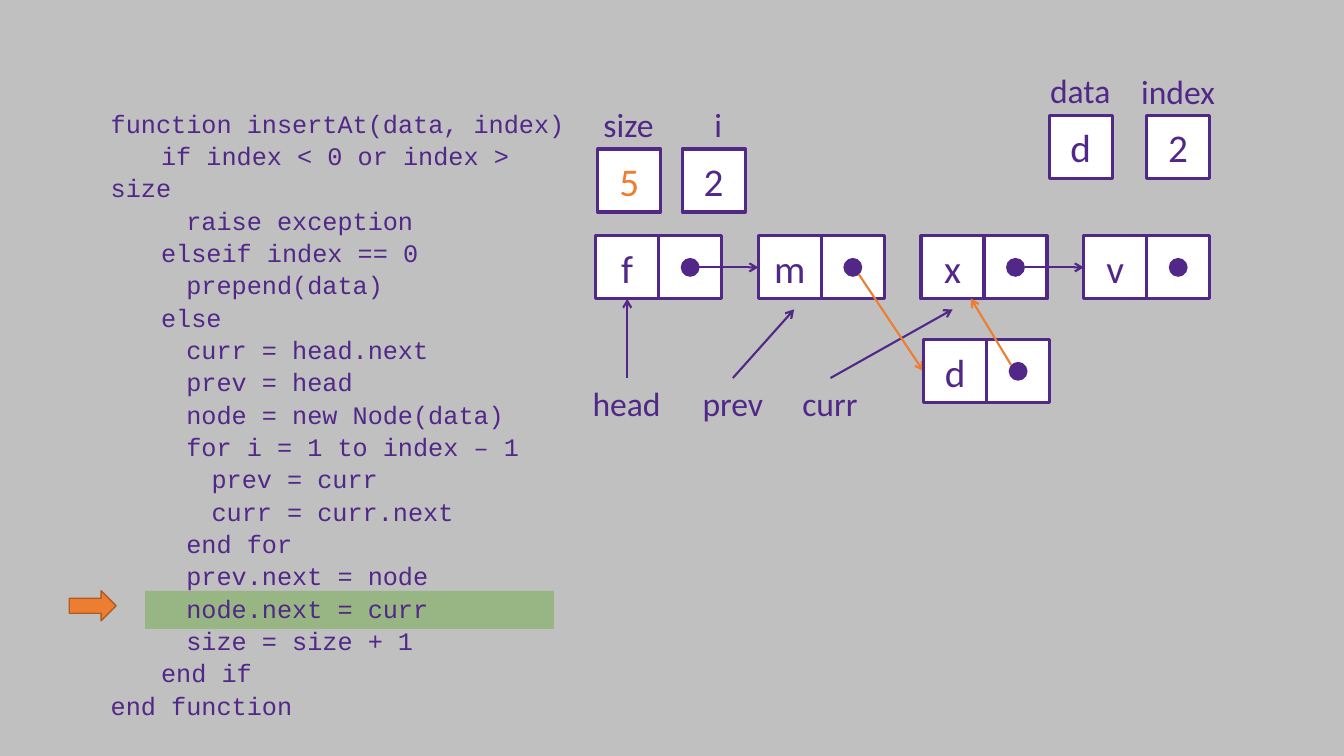
from dataclasses import dataclass

import pptx
import pptx.dml.color
import pptx.enum.shapes
import pptx.enum.text
import pptx.oxml
import pptx.oxml.ns
import pptx.util
from lxml import etree

Pt = pptx.util.Pt
RGBColor = pptx.dml.color.RGBColor
Kind = pptx.enum.shapes.MSO_SHAPE
Align = pptx.enum.text.PP_ALIGN
Fit = pptx.enum.text.MSO_AUTO_SIZE
qn = pptx.oxml.ns.qn

GRAY = RGBColor(0xC0, 0xC0, 0xC0)
WHITE = RGBColor(0xFF, 0xFF, 0xFF)
PURPLE = RGBColor(0x51, 0x28, 0x88)
ORANGE = RGBColor(0xED, 0x7D, 0x31)
RUST = RGBColor(0xAF, 0x5C, 0x24)
GREEN = RGBColor(0x70, 0xAD, 0x47)

CELL = 45
DOT = 13.5
ROW = 168.5
FIRST = 425.5
STEP = 116.2
STOPS = (18, 36, 54, 72, 85.5, 103.5, 126, 144)


@dataclass
class Cell:
    text: str
    left: float
    top: float
    color: RGBColor = PURPLE


@dataclass
class Label:
    text: str
    left: float
    top: float
    width: float


@dataclass
class Arrow:
    x1: float
    y1: float
    x2: float
    y2: float
    color: RGBColor = PURPLE


CODE = (
    (0, "function insertAt(data, index)"),
    (2, "if index < 0 or index > size"),
    (3, "raise exception"),
    (2, "elseif index == 0"),
    (3, "prepend(data)"),
    (2, "else"),
    (3, "curr = head.next"),
    (3, "prev = head"),
    (3, "node = new Node(data)"),
    (3, "for i = 1 to index – 1"),
    (4, "prev = curr"),
    (4, "curr = curr.next"),
    (3, "end for"),
    (3, "prev.next = node"),
    (3, "node.next = curr"),
    (3, "size = size + 1"),
    (2, "end if"),
    (0, "end function"),
)
CHAIN = [Cell(name, FIRST + i * STEP, ROW) for i, name in enumerate("fmxv")]
ADDED = Cell("d", 659.75, 242.75)
VARS = (
    Cell("5", 427, 106.5, ORANGE),
    Cell("2", 487.25, 106.5),
    Cell("d", 749.5, 82.75),
    Cell("2", 819, 82.75),
)
LABELS = (
    Label("head", 416.25, 270, 64),
    Label("prev", 494.75, 270, 58.5),
    Label("curr", 566, 270, 54.5),
    Label("size", 424, 70.5, 50.5),
    Label("i", 503.25, 70.5, 20),
    Label("data", 743, 46.25, 58.5),
    Label("index", 808, 47.25, 67.5),
)
ARROWS = (
    Arrow(448, 270, 448, 213.5),
    Arrow(499.5, 191, FIRST + STEP, 191),
    Arrow(732, 191, FIRST + 3 * STEP, 191),
    Arrow(523.5, 270, 567.25, 221),
    Arrow(593.25, 270, 680.5, 221),
    Arrow(613.5, 196, 659.5, 265, ORANGE),
)
RELINK = Arrow(722.25, 260.75, 693.5, 213.25, ORANGE)


def add_run(para, text: str, size: float, font: str, color: RGBColor) -> None:
    run = para.add_run()
    run.text = text
    run.font.size = Pt(size)
    run.font.name = font
    run.font.color.rgb = color


def add_box(shapes, kind, left: float, top: float, width: float, height: float,
            fill: RGBColor, line: RGBColor | None = None, weight: float = 2.25):
    box = shapes.add_shape(kind, Pt(left), Pt(top), Pt(width), Pt(height))
    box.shadow.inherit = False
    box.fill.solid()
    box.fill.fore_color.rgb = fill
    if line is None:
        box.line.fill.background()
    else:
        box.line.color.rgb = line
        box.line.width = Pt(weight)
    return box


def add_cell(shapes, cell: Cell) -> None:
    box = add_box(shapes, Kind.RECTANGLE, cell.left, cell.top, CELL, CELL, WHITE, PURPLE)
    if cell.text:
        frame = box.text_frame
        frame.vertical_anchor = pptx.enum.text.MSO_ANCHOR.MIDDLE
        para = frame.paragraphs[0]
        para.alignment = Align.CENTER
        add_run(para, cell.text, 28, "Calibri", cell.color)


def add_node(shapes, cell: Cell) -> None:
    group = shapes.add_group_shape().shapes
    add_cell(group, cell)
    add_cell(group, Cell("", cell.left + CELL, cell.top))
    inset = (CELL - DOT) / 2
    add_box(group, Kind.OVAL, cell.left + CELL + inset, cell.top + inset, DOT, DOT, PURPLE)


def add_arrow(shapes, arrow: Arrow) -> None:
    link = shapes.add_connector(
        pptx.enum.shapes.MSO_CONNECTOR.STRAIGHT,
        Pt(arrow.x1), Pt(arrow.y1), Pt(arrow.x2), Pt(arrow.y2))
    link.line.color.rgb = arrow.color
    link.line.width = Pt(1.5)
    etree.SubElement(link.line._get_or_add_ln(), qn("a:tailEnd"), type="arrow")
    etree.SubElement(link._element.spPr, qn("a:effectLst"))


def add_frame(shapes, left: float, top: float, width: float, height: float, wrap: bool):
    frame = shapes.add_textbox(Pt(left), Pt(top), Pt(width), Pt(height)).text_frame
    frame.word_wrap = wrap
    frame.auto_size = Fit.SHAPE_TO_FIT_TEXT
    return frame


def add_code(shapes) -> None:
    frame = add_frame(shapes, 72, 72, 341.25, 426.25, True)
    for i, (depth, text) in enumerate(CODE):
        para = frame.add_paragraph() if i else frame.paragraphs[0]
        para.line_spacing = 1.07
        tabs = etree.SubElement(para._p.get_or_add_pPr(), qn("a:tabLst"))
        for stop in STOPS:
            etree.SubElement(tabs, qn("a:tab"), pos=str(int(Pt(stop))), algn="l")
        add_run(para, "\t" * depth + text, 18, "Courier New", PURPLE)


def main() -> None:
    deck = pptx.Presentation()
    deck.slide_width, deck.slide_height = Pt(960), Pt(540)
    slide = deck.slides.add_slide(deck.slide_layouts[6])
    slide.background.fill.solid()
    slide.background.fill.fore_color.rgb = GRAY
    shapes = slide.shapes

    band = add_box(shapes, Kind.RECTANGLE, 103.75, 422, 292, 27.25, GREEN)
    tint = band._element.spPr.find(".//" + qn("a:srgbClr"))
    etree.SubElement(tint, qn("a:alpha"), val="50000")
    add_code(shapes)

    for cell in CHAIN:
        add_node(shapes, cell)
    for arrow in ARROWS:
        add_arrow(shapes, arrow)
    add_node(shapes, ADDED)
    for cell in VARS:
        add_cell(shapes, cell)
    for label in LABELS:
        frame = add_frame(shapes, label.left, label.top, label.width, 36.25, False)
        add_run(frame.paragraphs[0], label.text, 24, "Calibri", PURPLE)
    add_box(shapes, Kind.RIGHT_ARROW, 49.5, 422, 33.5, 21.5, ORANGE, RUST, 1)
    add_arrow(shapes, RELINK)
    deck.save("out.pptx")


if __name__ == "__main__":
    main()
